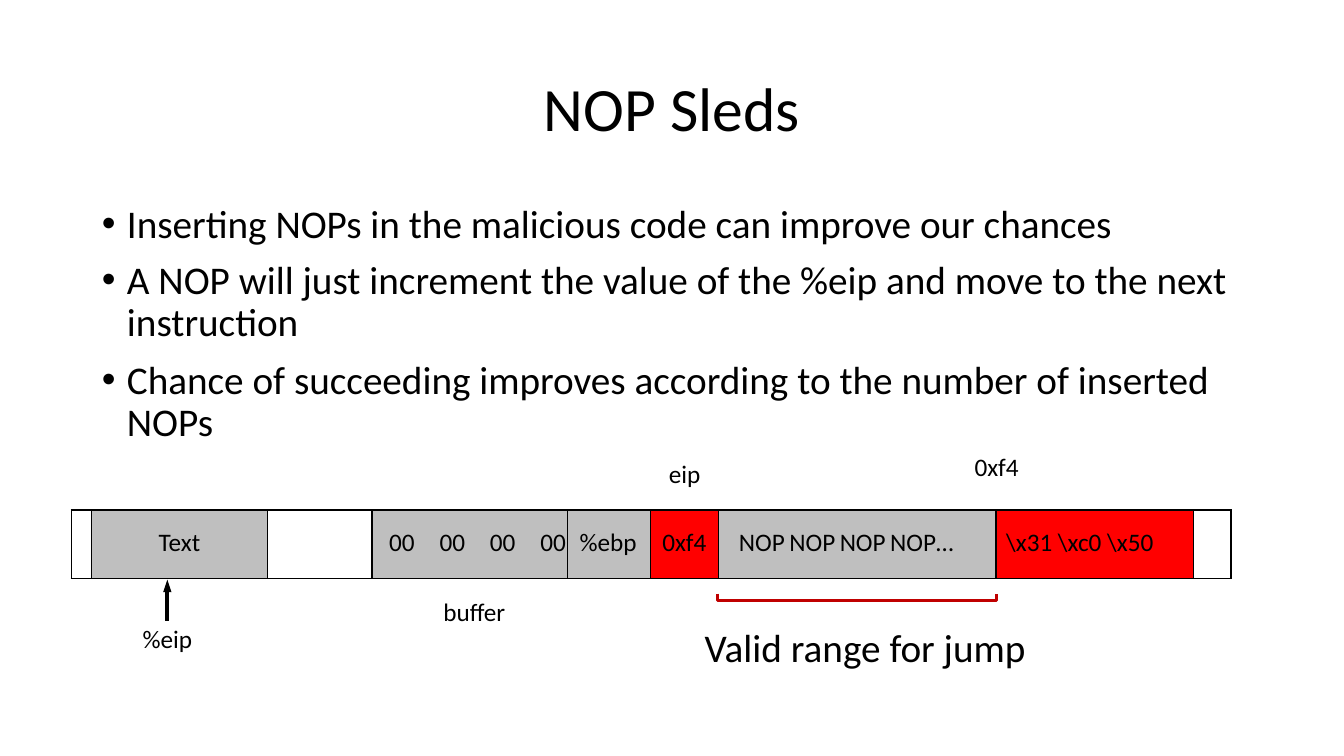
from dataclasses import dataclass
from itertools import pairwise

from lxml.etree import SubElement
from pptx import Presentation
from pptx.dml.color import RGBColor
from pptx.enum.shapes import MSO_CONNECTOR
from pptx.enum.text import PP_ALIGN
from pptx.oxml.ns import qn
from pptx.util import Inches, Pt


@dataclass(frozen=True)
class Theme:
    font: str = "Calibri"
    ink: str = "000000"
    gray: str = "BFBFBF"
    red: str = "FF0000"
    dark: str = "C00000"
    head: int = 44
    body: int = 28
    note: int = 18
    thin: float = 1
    thick: float = 1.5
    brace: float = 2.25
    arrow: float = 3


def unit(count):
    return Inches(count / 10)


def color(code):
    return RGBColor.from_string(code)


class Board:
    def __init__(self, slide, theme):
        self.slide = slide
        self.theme = theme

    def words(self, para, runs, size):
        for text in runs:
            run = para.add_run()
            run.text = text
            run.font.name = self.theme.font
            run.font.size = Pt(size)
            run.font.color.rgb = color(self.theme.ink)

    def frame(self, left, top, width, height, inset=0.1):
        box = self.slide.shapes.add_textbox(*map(unit, (left, top, width, height)))
        frame = box.text_frame
        frame.word_wrap = True
        frame.margin_left = frame.margin_right = frame.margin_bottom = 0
        frame.margin_top = unit(inset)
        return frame

    def label(self, runs, left, top, width, height, size, wrap=False):
        frame = self.frame(left, top, width, height)
        frame.word_wrap = wrap
        para = frame.paragraphs[0]
        para.alignment = PP_ALIGN.CENTER
        self.words(para, runs, size)

    def points(self, items, left, top, width, height):
        frame = self.frame(left, top, width, height, inset=1)
        for order, (gap, runs) in enumerate(items):
            para = frame.add_paragraph() if order else frame.paragraphs[0]
            props = para._p.get_or_add_pPr()
            props.set("marL", str(unit(2.6)))
            props.set("indent", str(unit(-2.5)))
            SubElement(props, qn("a:buFont"), typeface="Arial")
            SubElement(props, qn("a:buChar"), char="•")
            if order:
                para.space_before = Pt(gap)
                para.line_spacing = Pt(30)
            self.words(para, runs, self.theme.body)

    def edge(self, cell, side, width):
        line = SubElement(cell._tc.get_or_add_tcPr(), qn(f"a:ln{side}"), w=str(Pt(width)))
        SubElement(SubElement(line, qn("a:solidFill")), qn("a:srgbClr"), val=self.theme.ink)

    def strip(self, parts, edges, left, top, height):
        widths = [part[0] for part in parts]
        shape = self.slide.shapes.add_table(
            1, len(parts), *map(unit, (left, top, sum(widths), height)))
        table = shape.table
        table.first_row = table.horz_banding = False
        for order, (part, (near, far)) in enumerate(zip(parts, pairwise(edges))):
            width, fill, indent, tabs, runs = part
            table.columns[order].width = unit(width)
            cell = table.cell(0, order)
            cell.margin_left = cell.margin_right = cell.margin_bottom = 0
            cell.margin_top = unit(1.7)
            for side, weight in zip("LRTB", (near, far, self.theme.thick, self.theme.thick)):
                self.edge(cell, side, weight)
            if fill:
                cell.fill.solid()
                cell.fill.fore_color.rgb = color(fill)
            else:
                cell.fill.background()
            para = cell.text_frame.paragraphs[0]
            if indent is None:
                para.alignment = PP_ALIGN.CENTER
            else:
                props = para._p.get_or_add_pPr()
                props.set("marL", str(unit(indent)))
                props.set("indent", "0")
                if tabs:
                    stops = SubElement(props, qn("a:tabLst"))
                    for stop in tabs:
                        SubElement(stops, qn("a:tab"), pos=str(unit(stop)), algn="l")
            self.words(para, runs, self.theme.note)

    def arrow(self, start, end):
        link = self.slide.shapes.add_connector(
            MSO_CONNECTOR.STRAIGHT, *map(unit, (*start, *end)))
        link.line.color.rgb = color(self.theme.ink)
        link.line.width = Pt(self.theme.arrow)
        SubElement(link.line._get_or_add_ln(), qn("a:tailEnd"),
                   type="triangle", w="sm", len="med")
        SubElement(link._element.spPr, qn("a:effectLst"))

    def brace(self, left, right, top, depth):
        low = top + depth
        spots = [(left, top), (left, low), (right, low), (right, top)]
        first, *rest = [(unit(x), unit(y)) for x, y in spots]
        pen = self.slide.shapes.build_freeform(*first)
        pen.add_line_segments(rest, close=False)
        shape = pen.convert_to_shape()
        shape.shadow.inherit = False
        shape.fill.background()
        shape.line.color.rgb = color(self.theme.dark)
        shape.line.width = Pt(self.theme.brace)


def main():
    deck = Presentation()
    deck.slide_width, deck.slide_height = Inches(13.33), Inches(7.5)
    theme = Theme()
    board = Board(deck.slides.add_slide(deck.slide_layouts[6]), theme)

    board.label(["NOP ", "Sleds"], 24.3, 6.8, 84.7, 7.6, theme.head, wrap=True)
    board.points([
        (0, ["Inserting NOPs in the malicious code can improve our ", "chances"]),
        (10.2, ["A NOP will just increment the value of the %eip and move to the ",
                "next ", "instruction"]),
        (11.1, ["Chance of succeeding improves according to the number of ",
                "inserted ", "NOPs"]),
    ], 10, 18.8, 112, 25.4)

    thin, thick = theme.thin, theme.thick
    board.strip([
        (2, None, None, [], []),
        (17.4, theme.gray, None, [], ["Text"]),
        (10.4, None, None, [], []),
        (19.4, theme.gray, 1.7, [6.6, 10.8, 15.1], ["00\t00\t00\t00"]),
        (8.2, theme.gray, 1.2, [], ["%ebp"]),
        (6.8, theme.red, 1.2, [], ["0xf4"]),
        (27.5, theme.gray, 2, [5.7, 11.4, 17.1], ["NOP\tNOP\tNOP\t", "NOP…"]),
        (19.6, theme.red, 1, [], ["\\x31 \\xc0", " \\x50"]),
        (3.7, None, None, [], []),
    ], [thick, thin, thin, thin, thick, thin, thin, thick, thin, thick], 7.1, 50.6, 6.8)

    for text, left, top, width in [
        ("buffer", 43.8, 59.1, 6.5),
        ("0xf4", 96.5, 44.7, 4.7),
        ("%eip", 14, 61.7, 5.2),
        ("eip", 66.2, 45.4, 3.4),
    ]:
        board.label([text], left, top, width, 3.3, theme.note)
    board.label(["Valid ", "range for ", "jump"], 69.7, 61.7, 32.2, 4.9, theme.body)

    board.arrow((16.6, 61.6), (16.6, 57.5))
    board.brace(71.2, 98.8, 58.9, 0.7)
    deck.save("out.pptx")


if __name__ == "__main__":
    main()
